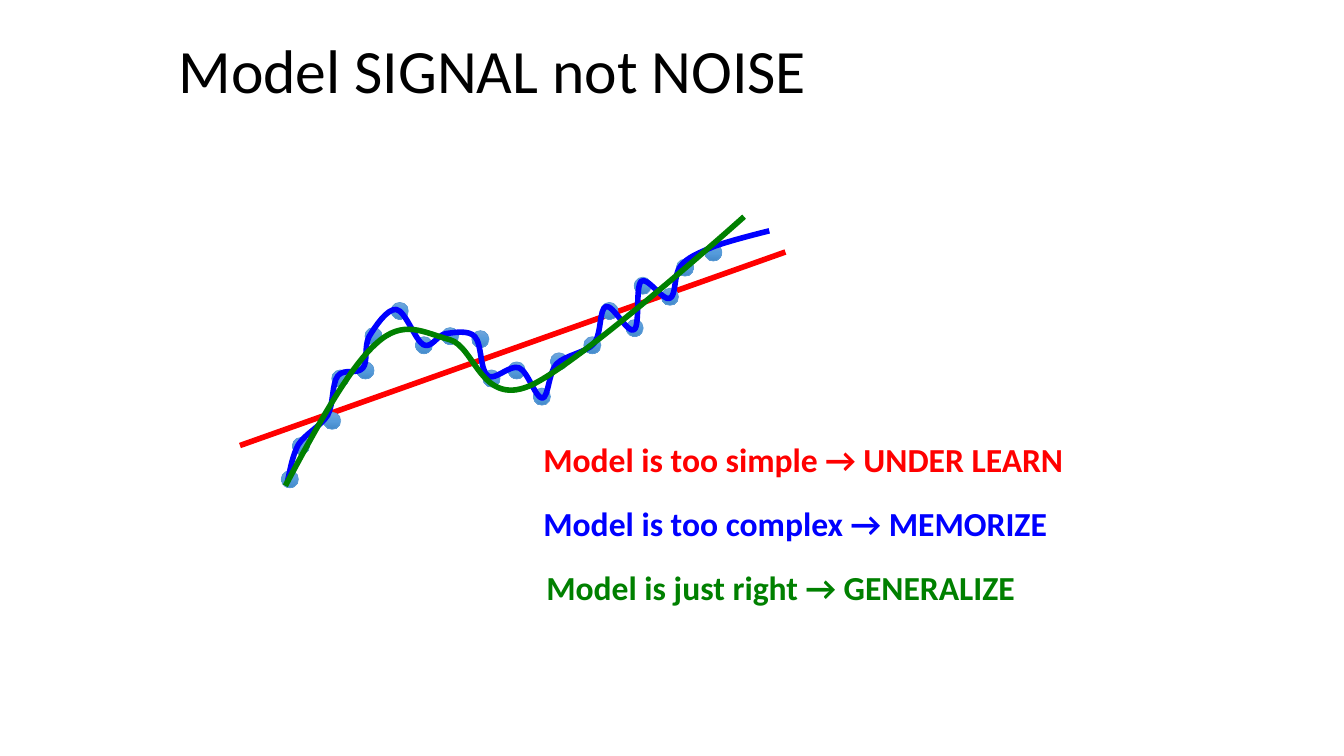
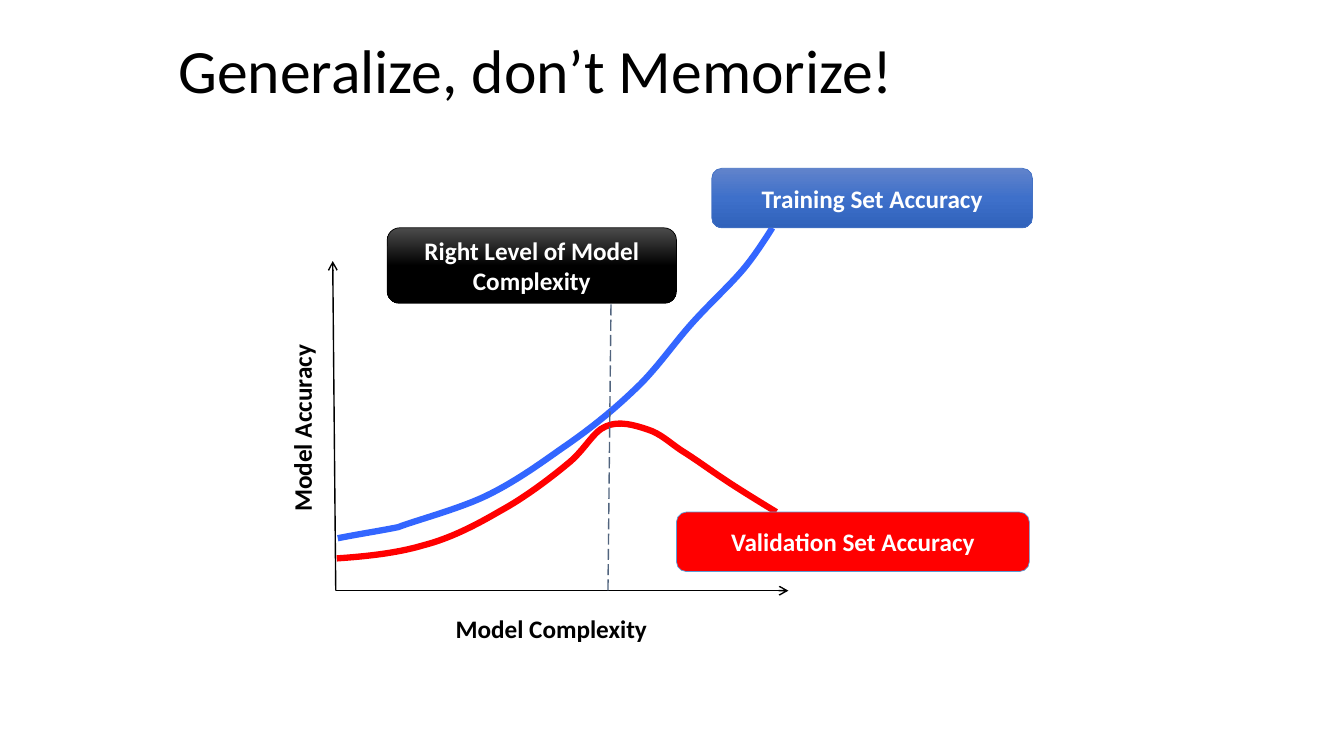
"""Build two slides on underfitting, overfitting and generalization."""
from lxml import etree
from pptx import Presentation
from pptx.dml.color import RGBColor
from pptx.enum.dml import MSO_LINE
from pptx.enum.shapes import MSO_CONNECTOR, MSO_SHAPE
from pptx.enum.text import MSO_ANCHOR, MSO_AUTO_SIZE, PP_ALIGN
from pptx.oxml.ns import qn
from pptx.util import Inches, Pt

LEFT, CENTER = PP_ALIGN.LEFT, PP_ALIGN.CENTER
MIDDLE = MSO_ANCHOR.MIDDLE
NO_FIT, GROW = MSO_AUTO_SIZE.NONE, MSO_AUTO_SIZE.SHAPE_TO_FIT_TEXT
STRAIGHT = MSO_CONNECTOR.STRAIGHT
OVAL, ROUNDED = MSO_SHAPE.OVAL, MSO_SHAPE.ROUNDED_RECTANGLE
LONG_DASH = MSO_LINE.LONG_DASH
TITLE_ONLY = 5

COLORS = {
    "text": "000000",
    "light": "FFFFFF",
    "simple": "FF0000",
    "complex": "0000FF",
    "right": "008000",
    "training": "3366FF",
    "validation": "FF0000",
    "training_edge": "4472C4",
    "edge": "5B9BD5",
    "guide": "51647E",
}
GRADIENTS = {
    "dot": ("71A6DB", "559BDB", "448ACA"),
    "training": ("6183CB", "3E70CA", "3062BB"),
    "right_level": ("4B4B4B", "000000", "000000"),
}

DOT_SIZE = 0.17
DOTS = [
    (2.9, 4.34), (2.79, 4.67), (3.21, 4.09), (3.29, 3.67), (3.54, 3.59),
    (3.62, 3.25), (3.88, 3), (4.38, 3.25), (4.12, 3.34), (4.68, 3.28),
    (4.79, 3.67), (5.04, 3.59), (5.29, 3.85), (5.46, 3.5), (5.79, 3.34),
    (5.96, 3), (6.21, 3.17), (6.29, 2.75), (6.56, 2.86), (6.71, 2.57),
    (6.99, 2.42),
]
COMPLEX_CURVE = [
    (2.85, 4.78),
    (2.88, 4.65), (2.9, 4.52), (2.96, 4.41),
    (3.03, 4.3), (3.18, 4.23), (3.25, 4.12),
    (3.31, 4.01), (3.29, 3.81), (3.35, 3.73),
    (3.41, 3.65), (3.54, 3.72), (3.6, 3.65),
    (3.65, 3.59), (3.61, 3.44), (3.66, 3.34),
    (3.72, 3.24), (3.84, 3.06), (3.93, 3.07),
    (4.02, 3.08), (4.12, 3.38), (4.2, 3.42),
    (4.28, 3.46), (4.33, 3.33), (4.42, 3.31),
    (4.5, 3.3), (4.65, 3.27), (4.71, 3.34),
    (4.78, 3.41), (4.76, 3.68), (4.84, 3.73),
    (4.91, 3.78), (5.06, 3.61), (5.15, 3.65),
    (5.24, 3.69), (5.31, 3.95), (5.38, 3.95),
    (5.44, 3.94), (5.44, 3.7), (5.52, 3.61),
    (5.61, 3.52), (5.81, 3.5), (5.89, 3.41),
    (5.97, 3.31), (5.94, 3.07), (6.01, 3.04),
    (6.08, 3.02), (6.23, 3.32), (6.29, 3.27),
    (6.35, 3.23), (6.3, 2.84), (6.36, 2.79),
    (6.42, 2.74), (6.58, 2.99), (6.64, 2.96),
    (6.71, 2.94), (6.68, 2.72), (6.75, 2.64),
    (6.82, 2.55), (6.93, 2.51), (7.07, 2.45),
    (7.22, 2.39), (7.63, 2.29), (7.63, 2.29),
]
RIGHT_CURVE = [
    (2.83, 4.82),
    (3.14, 4.24), (3.46, 3.65), (3.73, 3.41),
    (4, 3.16), (4.2, 3.3), (4.46, 3.37),
    (4.71, 3.44), (4.77, 4.03), (5.25, 3.83),
    (5.74, 3.62), (7.38, 2.15), (7.38, 2.15),
]
TRAINING_CURVE = [
    (3.35, 5.34),
    (3.55, 5.3), (3.75, 5.27), (3.95, 5.23),
    (4.1, 5.17), (4.55, 5.05), (4.82, 4.92),
    (5.09, 4.79), (5.33, 4.62), (5.57, 4.45),
    (5.82, 4.28), (6.06, 4.09), (6.28, 3.88),
    (6.5, 3.68), (6.68, 3.41), (6.87, 3.2),
    (7.05, 3), (7.26, 2.81), (7.39, 2.65),
    (7.52, 2.49), (7.66, 2.26), (7.66, 2.26),
]
VALIDATION_CURVE = [
    (3.34, 5.54),
    (3.63, 5.52), (3.93, 5.49), (4.2, 5.41),
    (4.47, 5.34), (4.72, 5.21), (4.96, 5.07),
    (5.2, 4.94), (5.45, 4.75), (5.62, 4.61),
    (5.8, 4.47), (5.88, 4.28), (6.01, 4.23),
    (6.14, 4.17), (6.3, 4.22), (6.42, 4.26),
    (6.55, 4.3), (6.64, 4.39), (6.76, 4.47),
    (6.89, 4.55), (7.01, 4.64), (7.16, 4.74),
    (7.32, 4.85), (7.7, 5.08), (7.7, 5.08),
]
VERDICTS = [
    ("Model is too simple → UNDER LEARN", "simple", 5.29, 4.31, 6.33),
    ("Model is too complex → MEMORIZE", "complex", 5.29, 4.94, 5.98),
    ("Model is just right → GENERALIZE", "right", 5.32, 5.58, 5.77),
]


class Deck:
    """Hold the shared style, the presentation and the current slide."""

    font = "Calibri"

    def __init__(self):
        self.prs = Presentation()
        self.prs.slide_width = Inches(13.33)
        self.prs.slide_height = Inches(7.5)
        self.slide = None

    def new_slide(self, heading):
        self.slide = self.prs.slides.add_slide(self.prs.slide_layouts[TITLE_ONLY])
        title = self.slide.shapes.title
        title.left, title.top = Inches(1.67), Inches(0.23)
        title.width, title.height = Inches(9.75), Inches(1)
        frame = title.text_frame
        self.set_words(frame, heading, 44, "text", LEFT, bold=False)
        frame.auto_size = NO_FIT
        frame.vertical_anchor = MIDDLE
        frame.paragraphs[0].line_spacing = 0.9

    def set_words(self, frame, words, size, color, align=LEFT, bold=True):
        frame.text = words
        paragraph = frame.paragraphs[0]
        paragraph.alignment = align
        font = paragraph.runs[0].font
        font.name, font.size, font.bold = self.font, Pt(size), bold
        font.color.rgb = RGBColor.from_string(COLORS[color])

    def stroke(self, line, color, width):
        line.color.rgb = RGBColor.from_string(COLORS[color])
        line.width = Pt(width)

    def label(self, words, left, top, width, height=0.4, size=18, color="text", turn=0):
        box = self.slide.shapes.add_textbox(
            Inches(left), Inches(top), Inches(width), Inches(height))
        box.rotation = turn
        self.set_words(box.text_frame, words, size, color)
        box.text_frame.word_wrap = False
        box.text_frame.auto_size = GROW

    def line(self, start, end, color, width=1, arrow=False, dash=None):
        connector = self.slide.shapes.add_connector(
            STRAIGHT, *map(Inches, (*start, *end)))
        self.stroke(connector.line, color, width)
        if dash:
            connector.line.dash_style = dash
        properties = connector.element.spPr
        if arrow:
            etree.SubElement(properties.find(qn("a:ln")), qn("a:tailEnd"), type="arrow")
        etree.SubElement(properties, qn("a:effectLst"))

    def curve(self, points, color, width):
        start, *rest = [(Inches(x), Inches(y)) for x, y in points]
        builder = self.slide.shapes.build_freeform(*start)
        builder.add_line_segments(rest, close=False)
        shape = builder.convert_to_shape()
        shape.shadow.inherit = False
        shape.fill.background()
        self.stroke(shape.line, color, width)
        outline = next(shape.element.iter(qn("a:path")))
        segments = outline.findall(qn("a:lnTo"))
        for first in range(0, len(segments), 3):
            bend = etree.SubElement(outline, qn("a:cubicBezTo"))
            for segment in segments[first:first + 3]:
                bend.append(segment[0])
                outline.remove(segment)

    def shade(self, shape, stops):
        shape.fill.gradient()
        shape.fill.gradient_angle = 270
        stop_list = next(shape.element.iter(qn("a:gsLst")))
        for old in list(stop_list):
            stop_list.remove(old)
        for position, color in zip((0, 50000, 100000), stops):
            stop = etree.SubElement(stop_list, qn("a:gs"), pos=str(position))
            etree.SubElement(stop, qn("a:srgbClr"), val=color)

    def block(self, kind, left, top, width, height, edge, gradient=None, fill=None):
        shape = self.slide.shapes.add_shape(
            kind, Inches(left), Inches(top), Inches(width), Inches(height))
        shape.shadow.inherit = False
        self.stroke(shape.line, edge, 0.5)
        if gradient:
            self.shade(shape, GRADIENTS[gradient])
        else:
            shape.fill.solid()
            shape.fill.fore_color.rgb = RGBColor.from_string(COLORS[fill])
        return shape

    def dot(self, left, top):
        self.block(OVAL, left, top, DOT_SIZE, DOT_SIZE, "edge", gradient="dot")

    def callout(self, words, left, top, width, height, edge, **paint):
        shape = self.block(ROUNDED, left, top, width, height, edge, **paint)
        self.set_words(shape.text_frame, words, 18, "light", CENTER)
        shape.text_frame.word_wrap = True
        shape.text_frame.vertical_anchor = MIDDLE


def add_signal_slide(deck):
    deck.new_slide("Model SIGNAL not NOISE")
    deck.line((2.38, 4.42), (7.79, 2.5), "simple", 4)
    for left, top in DOTS:
        deck.dot(left, top)
    deck.curve(COMPLEX_CURVE, "complex", 4)
    deck.curve(RIGHT_CURVE, "right", 4)
    for words, color, left, top, width in VERDICTS:
        deck.label(words, left, top, width, 0.5, 24, color)


def add_accuracy_slide(deck):
    deck.new_slide("Generalize, don’t Memorize!")
    origin = (3.33, 5.86)
    for axis_end in ((3.3, 2.59), (7.82, 5.86)):
        deck.line(origin, axis_end, "text", arrow=True)
    deck.label("Model Complexity", 4.42, 6.04, 2.11)
    deck.label("Model Accuracy", 2.06, 4.04, 1.87, turn=270)
    deck.curve(TRAINING_CURVE, "training", 4.5)
    deck.curve(VALIDATION_CURVE, "validation", 4.5)
    deck.callout("Training Set Accuracy", 7.06, 1.67, 3.18, 0.59,
                 "training_edge", gradient="training")
    deck.callout("Validation Set Accuracy", 6.71, 5.08, 3.5, 0.59,
                 "edge", fill="validation")
    deck.line((6.06, 3.02), (6.03, 5.86), "guide", dash=LONG_DASH)
    deck.callout("Right Level of Model Complexity", 3.84, 2.26, 2.87, 0.75,
                 "text", gradient="right_level")


def main():
    deck = Deck()
    add_signal_slide(deck)
    add_accuracy_slide(deck)
    deck.prs.save("out.pptx")


if __name__ == "__main__":
    main()
